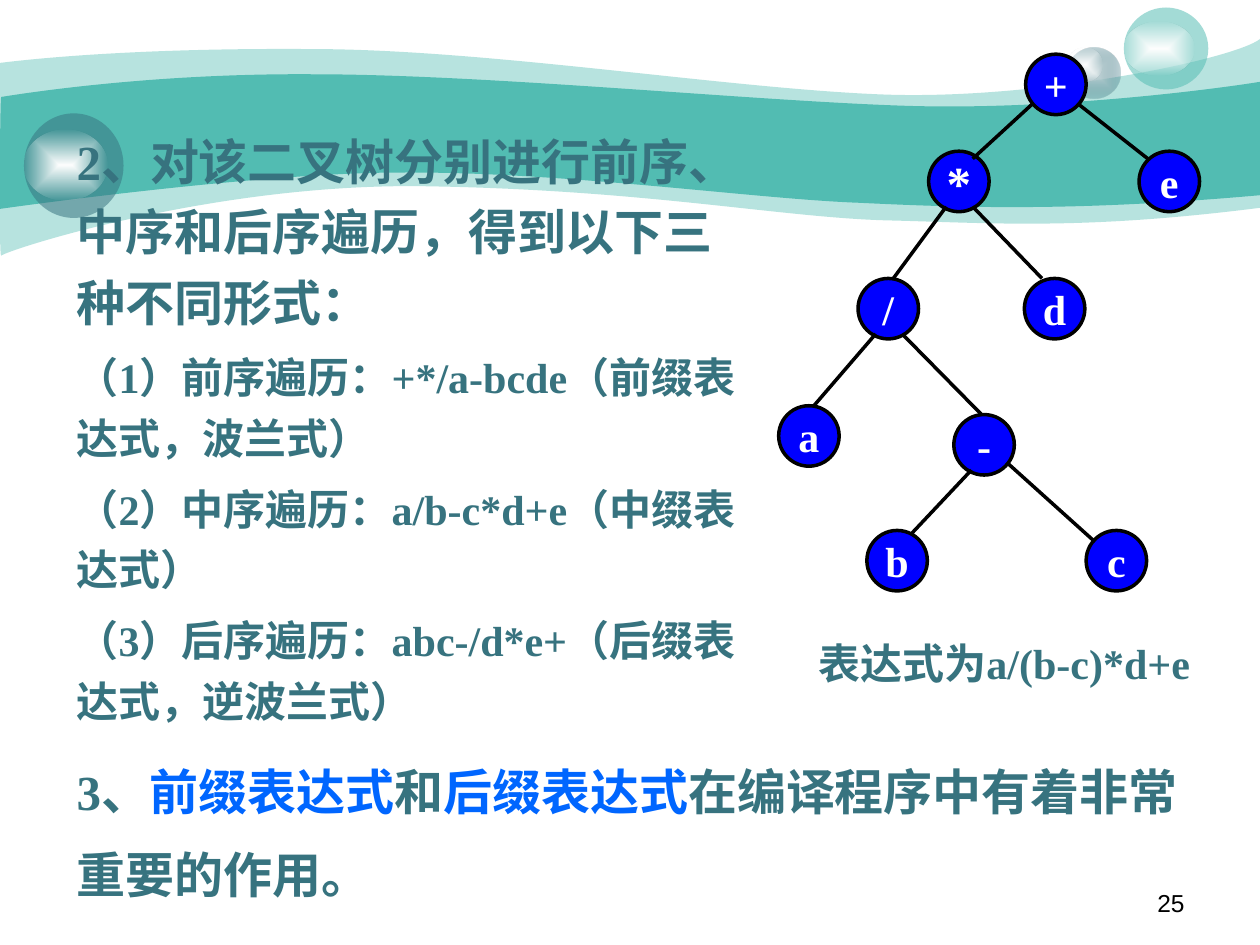
from lxml import etree
from pptx import Presentation
from pptx.dml.color import RGBColor
from pptx.enum import shapes, text
from pptx.oxml import parse_xml
from pptx.oxml.ns import nsdecls, qn
from pptx.util import Inches, Pt

COLORS = {
    "teal": "52BCB2", "slate": "37737F", "pale": "CCDBDE", "white": "FFFFFF",
    "black": "000000", "node": "0000FF", "accent": "0066FF",
}
SERIF = "Times New Roman"
NODE_SIZE = 0.48

# Each outline: a start point, then cubic curves (6 numbers) or lines (2 numbers).
PALE_WAVE = [
    (0, 0.5), (0.24, 0.47, 1.07, 0.38, 2.47, 0.39),
    (3.86, 0.39, 5.75, 0.7, 6.99, 0.75), (8.22, 0.8, 9.8, 0.47, 10, 0.31),
    (10, 1.65), (8.58, 1.83, 7.87, 1.77, 7.05, 1.75),
    (6.22, 1.73, 5.15, 1.51, 3.43, 1.48), (1.72, 1.44, 0.04, 1.99, 0.01, 2.03),
    (-0.01, 2.08, 0, 0.75, 0, 0.5),
]
DARK_WAVE = [
    (0.01, 0.77), (0.02, 0.77, 1.1, 0.58, 2.48, 0.59),
    (3.86, 0.59, 5.95, 0.8, 7.18, 0.84), (8.41, 0.88, 9.76, 0.69, 10, 0.65),
    (10, 1.55), (8.53, 1.68, 7.65, 1.65, 6.82, 1.61),
    (5.99, 1.58, 4.47, 1.36, 3.17, 1.37), (2.03, 1.37, -0.02, 1.66, -0.01, 1.66),
    (0, 1.66, 0, 0.77, 0.01, 0.77),
]
NODES = [
    ("+", 8.14, 0.43), ("*", 7.37, 1.2), ("/", 6.81, 2.21), ("d", 8.13, 2.21),
    ("c", 8.62, 4.21), ("e", 9.04, 1.2), ("-", 7.57, 3.29), ("a", 6.18, 3.22),
    ("b", 6.88, 4.21),
]
BRANCHES = [
    (8.2, 0.82, 7.72, 1.26), (8.55, 0.82, 9.11, 1.26), (7.51, 1.64, 7.09, 2.21),
    (7.72, 1.64, 8.27, 2.21), (7.16, 2.65, 7.79, 3.29), (6.95, 2.65, 6.46, 3.22),
    (7.71, 3.73, 7.23, 4.24), (7.99, 3.67, 8.69, 4.3),
]
TRAVERSALS = [
    "（1）前序遍历：+*/a-bcde（前缀表达式，波兰式）",
    "（2）中序遍历：a/b-c*d+e（中缀表达式）",
    "（3）后序遍历：abc-/d*e+（后缀表达式，逆波兰式）",
]


def rgb(name):
    return RGBColor.from_string(COLORS[name])


def fill_solid(shape, color, opacity=100):
    shape.shadow.inherit = False
    shape.fill.solid()
    shape.fill.fore_color.rgb = rgb(color)
    if opacity < 100:
        value = shape._element.spPr.find(".//" + qn("a:srgbClr"))
        etree.SubElement(value, qn("a:alpha")).set("val", str(opacity * 1000))


def fill_glow(shape, center, edge, edge_opacity):
    """Gradient from the centre of the shape to a partly transparent edge."""
    shape.shadow.inherit = False
    shape.fill.background()
    properties = shape._element.spPr
    properties.replace(properties.find(qn("a:noFill")), parse_xml(
        f'<a:gradFill {nsdecls("a")} rotWithShape="1"><a:gsLst>'
        f'<a:gs pos="0"><a:srgbClr val="{COLORS[center]}"/></a:gs>'
        f'<a:gs pos="100000"><a:srgbClr val="{COLORS[edge]}">'
        f'<a:alpha val="{edge_opacity * 1000}"/></a:srgbClr></a:gs></a:gsLst>'
        '<a:path path="rect"><a:fillToRect l="50000" t="50000" r="50000" b="50000"/>'
        '</a:path></a:gradFill>'))


def bend_segments(shape, outline):
    """Join each run of three line points that belongs to a curve into one cubic."""
    lines = iter(shape._element.spPr.findall(".//" + qn("a:lnTo")))
    for segment in outline[1:]:
        first = next(lines)
        if len(segment) == 6:
            first.tag = qn("a:cubicBezTo")
            for line in (next(lines), next(lines)):
                first.append(line[0])
                line.getparent().remove(line)


def add_wave(slide, outline, opacity=100):
    points = [(Inches(segment[i]), Inches(segment[i + 1]))
              for segment in outline for i in range(0, len(segment), 2)]
    builder = slide.shapes.build_freeform(*points[0])
    builder.add_line_segments(points[1:], close=True)
    shape = builder.convert_to_shape()
    bend_segments(shape, outline)
    fill_solid(shape, "teal", opacity)
    shape.line.fill.background()


def add_ellipse(slide, left, top, width, height):
    shape = slide.shapes.add_shape(
        shapes.MSO_SHAPE.OVAL, *map(Inches, (left, top, width, height)))
    shape.line.fill.background()
    return shape


def add_bubbles(slide):
    fill_glow(add_ellipse(slide, 8.47, 0.38, 0.42, 0.4), "pale", "slate", 31)
    fill_solid(add_ellipse(slide, 8.92, 0.06, 0.67, 0.65), "teal", 53)
    fill_solid(add_ellipse(slide, 0.19, 0.9, 0.79, 0.83), "slate", 53)
    for box in ((8.47, 0.38, 0.28, 0.27), (8.92, 0.17, 0.56, 0.43),
                (0.19, 1.03, 0.66, 0.56)):
        fill_glow(add_ellipse(slide, *box), "white", "white", 0)


def add_runs(paragraph, runs, size, font=SERIF, bold=True, **layout):
    """Write (wording, colour) runs; layout holds paragraph attributes."""
    for name, value in layout.items():
        setattr(paragraph, name, value)
    for wording, color in runs:
        run = paragraph.add_run()
        run.text = wording
        for name, value in {"size": Pt(size), "name": font, "bold": bold}.items():
            setattr(run.font, name, value)
        run.font.color.rgb = rgb(color)


def add_text_box(slide, left, top, width, height):
    frame = slide.shapes.add_textbox(
        *map(Inches, (left, top, width, height))).text_frame
    frame.word_wrap = True
    return frame


def add_node(slide, label, left, top):
    shape = add_ellipse(slide, left, top, NODE_SIZE, NODE_SIZE)
    fill_solid(shape, "node")
    shape.line.color.rgb = rgb("black")
    shape.line.width = Pt(2)
    frame = shape.text_frame
    frame.word_wrap = False
    frame.vertical_anchor = text.MSO_ANCHOR.MIDDLE
    add_runs(frame.paragraphs[0], [(label, "white")], 28 if label == "*" else 24,
             alignment=text.PP_ALIGN.CENTER)


def add_branch(slide, *ends):
    line = slide.shapes.add_connector(
        shapes.MSO_CONNECTOR.STRAIGHT, *map(Inches, ends))
    line.line.color.rgb = rgb("black")
    line.line.width = Pt(2)
    etree.SubElement(line._element.spPr, qn("a:effectLst"))


def add_wording(slide):
    number = add_text_box(slide, 7.17, 7, 2.33, 0.35)
    add_runs(number.paragraphs[0], [("25", "black")], 14, "Arial", False,
             alignment=text.PP_ALIGN.RIGHT)

    body = add_text_box(slide, 0.51, 0.9, 5.59, 4.91)
    add_runs(body.paragraphs[0],
             [("2、对该二叉树分别进行前序、中序和后序遍历，得到以下三种不同形式：", "slate")],
             28, line_spacing=1.2)
    for traversal in TRAVERSALS:
        add_runs(body.add_paragraph(), [(traversal, "slate")], 24,
                 line_spacing=1.2, space_before=Pt(6))

    usage = add_text_box(slide, 0.51, 5.81, 9.06, 1.41)
    add_runs(usage.paragraphs[0],
             [("3、", "slate"), ("前缀表达式", "accent"), ("和", "slate"),
              ("后缀表达式", "accent"), ("在编译程序中有着非常重要的作用。", "slate")],
             28, line_spacing=1.4)

    caption = add_text_box(slide, 6.22, 5.01, 3.5, 0.5)
    add_runs(caption.paragraphs[0], [("表达式为a/(b-c)*d+e", "slate")], 24,
             alignment=text.PP_ALIGN.CENTER)


def main():
    presentation = Presentation()
    presentation.slide_width, presentation.slide_height = Inches(10), Inches(7.5)
    slide = presentation.slides.add_slide(presentation.slide_layouts[6])
    add_wave(slide, PALE_WAVE, 41)
    add_wave(slide, DARK_WAVE)
    add_bubbles(slide)
    add_wording(slide)
    for node in NODES:
        add_node(slide, *node)
    for branch in BRANCHES:
        add_branch(slide, *branch)
    presentation.save("out.pptx")


if __name__ == "__main__":
    main()
